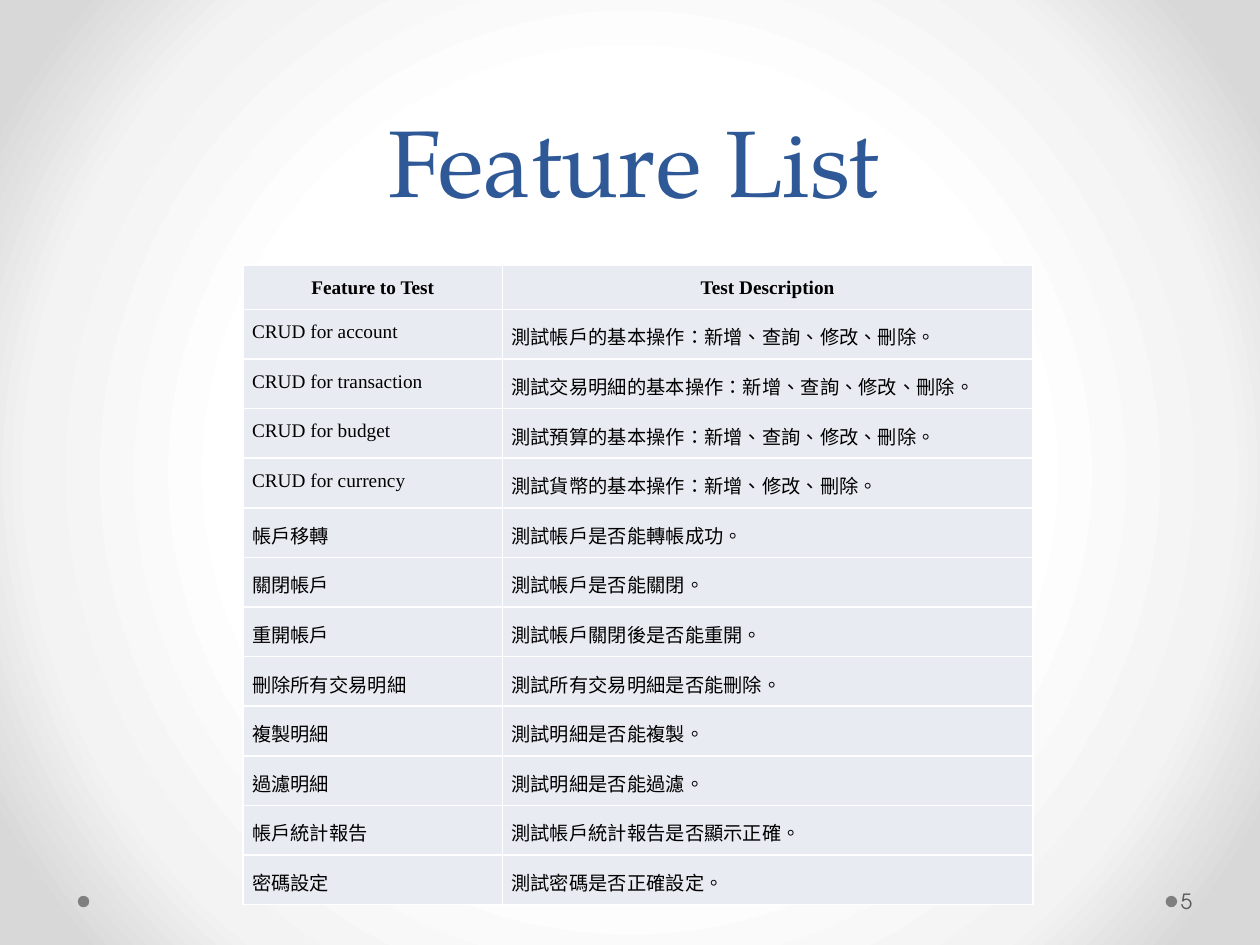
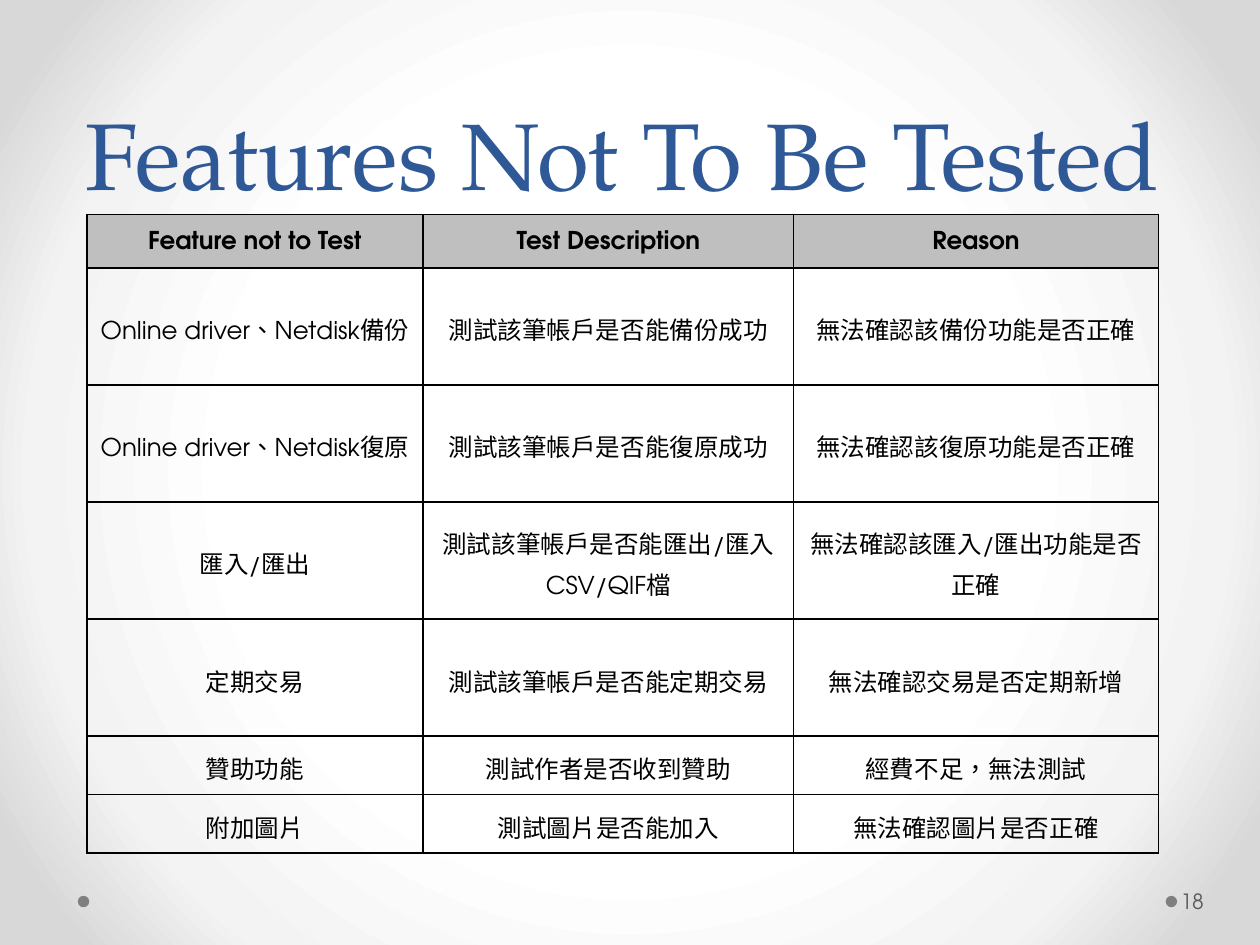
from lxml.etree import SubElement as Sub
from pptx import Presentation
from pptx.dml.color import RGBColor as RGB
from pptx.enum.shapes import MSO_SHAPE as Shape
from pptx.enum.text import MSO_ANCHOR as Anchor, MSO_AUTO_SIZE as Auto, PP_ALIGN as Align
from pptx.oxml.ns import qn
from pptx.util import Cm, Pt

# Shared colours, fonts and backdrop
BLUE = RGB(0x2F, 0x58, 0x97)
BLACK = RGB(0, 0, 0)
WHITE = RGB(0xFF, 0xFF, 0xFF)
DOT = RGB(0x7F, 0x7F, 0x7F)
SLATE = RGB(0x59, 0x59, 0x59)
SILVER = RGB(0xBF, 0xBF, 0xBF)
PALE = RGB(0xE9, 0xEB, 0xF2)
MIST = RGB(0xF3, 0xF3, 0xF3)
ASH = RGB(0xD8, 0xD8, 0xD8)
SERIF, SANS, ROMAN = "TeX Gyre Pagella", "TeX Gyre Adventor", "Times New Roman"
STOPS = [(0, WHITE), (50, WHITE), (76, MIST), (92, ASH), (100, ASH)]
PLAIN = "{2D5ABB26-0587-4C30-8999-92F81FD0307C}"  # table style without grid

TESTED = [
    ("Feature to Test", "Test Description"),
    ("CRUD for account", "測試帳戶的基本操作：新增、查詢、修改、刪除。"),
    ("CRUD for transaction", "測試交易明細的基本操作：新增、查詢、修改、刪除。"),
    ("CRUD for budget", "測試預算的基本操作：新增、查詢、修改、刪除。"),
    ("CRUD for currency", "測試貨幣的基本操作：新增、修改、刪除。"),
    ("帳戶移轉", "測試帳戶是否能轉帳成功。"),
    ("關閉帳戶", "測試帳戶是否能關閉。"),
    ("重開帳戶", "測試帳戶關閉後是否能重開。"),
    ("刪除所有交易明細", "測試所有交易明細是否能刪除。"),
    ("複製明細", "測試明細是否能複製。"),
    ("過濾明細", "測試明細是否能過濾。"),
    ("帳戶統計報告", "測試帳戶統計報告是否顯示正確。"),
    ("密碼設定", "測試密碼是否正確設定。"),
]
OMITTED = [
    ("Feature not to Test", "Test Description", "Reason"),
    ("Online driver、Netdisk備份", "測試該筆帳戶是否能備份成功", "無法確認該備份功能是否正確"),
    ("Online driver、Netdisk復原", "測試該筆帳戶是否能復原成功", "無法確認該復原功能是否正確"),
    ("匯入/匯出", "測試該筆帳戶是否能匯出/匯入CSV/QIF檔", "無法確認該匯入/匯出功能是否正確"),
    ("定期交易", "測試該筆帳戶是否能定期交易", "無法確認交易是否定期新增"),
    ("贊助功能", "測試作者是否收到贊助", "經費不足，無法測試"),
    ("附加圖片", "測試圖片是否能加入", "無法確認圖片是否正確"),
]


def apply(target, values):
    for name, value in values.items():
        setattr(target, name, value)


def write(frame, text, face, size, color, bold=False, align=Align.LEFT, pitch=1.0):
    par = frame.paragraphs[0]
    apply(par, dict(alignment=align, line_spacing=pitch))
    run = par.add_run()
    run.text = text
    run._r.get_or_add_rPr().set("lang", "zh-TW")
    apply(run.font, dict(name=face, size=Pt(size), bold=bold))
    run.font.color.rgb = color


def tint(parent, color):
    Sub(parent, qn("a:srgbClr"), val=str(color))


def set_back(master):
    """Give the master a radial gradient, white in the middle."""
    master.background.fill.gradient()
    grad = master._element.find(".//" + qn("a:gradFill"))
    for part in list(grad):
        grad.remove(part)
    stops = Sub(grad, qn("a:gsLst"))
    for place, color in STOPS:
        tint(Sub(stops, qn("a:gs"), pos=str(place * 1000)), color)
    ring = Sub(grad, qn("a:path"), path="circle")
    Sub(ring, qn("a:fillToRect"), {side: "50000" for side in "ltrb"})


def add_dot(slide, left):
    dot = slide.shapes.add_shape(Shape.OVAL, Cm(left), Cm(18.06), Cm(0.23), Cm(0.23))
    dot.shadow.inherit = False
    dot.fill.solid()
    dot.fill.fore_color.rgb = DOT
    dot.line.fill.background()


def add_page(slide, number):
    box = slide.shapes.add_textbox(Cm(23.72), Cm(17.65), Cm(1.55), Cm(1.02))
    apply(box.text_frame, dict(word_wrap=True, vertical_anchor=Anchor.MIDDLE,
                               margin_left=Cm(0.08), margin_right=Cm(0.13)))
    write(box.text_frame, str(number), SANS, 12, SLATE)


def add_slide(deck, title, area, number):
    slide = deck.slides.add_slide(deck.slide_layouts[5])
    for left in (23.5, 1.57):
        add_dot(slide, left)
    head = slide.shapes.title
    apply(head, dict(zip(("left", "top", "width", "height"), map(Cm, area))))
    apply(head.text_frame, dict(word_wrap=True, auto_size=Auto.NONE,
                                vertical_anchor=Anchor.BOTTOM))
    write(head.text_frame, title, SERIF, 54, BLUE, align=Align.CENTER, pitch=1.07)
    add_page(slide, number)
    return slide


def edge(cell, color):
    for side in ("L", "R", "T", "B"):
        line = Sub(cell._tc.get_or_add_tcPr(), qn("a:ln" + side), w=str(Pt(1)))
        tint(Sub(line, qn("a:solidFill")), color)


def paint(cell, color):
    if color is None:
        cell.fill.background()
    else:
        cell.fill.solid()
        cell.fill.fore_color.rgb = color


def add_grid(slide, data, spot, cols, rows, face, size, line, fills, pad, anchor, align):
    """Draw a table; fills holds the head colour and the body colour."""
    grid = slide.shapes.add_table(len(rows), len(cols), *map(Cm, spot),
                                  Cm(sum(cols)), Cm(sum(rows))).table
    apply(grid, dict(first_row=False, horz_banding=False))
    grid._tbl.tblPr.find(qn("a:tableStyleId")).text = PLAIN
    for col, width in zip(grid.columns, cols):
        col.width = Cm(width)
    for row, height in zip(grid.rows, rows):
        row.height = Cm(height)
    for r, texts in enumerate(data):
        top = r == 0
        for c, text in enumerate(texts):
            cell = grid.cell(r, c)
            apply(cell, dict(margin_left=Cm(0.18), margin_right=Cm(0.18),
                             margin_top=Cm(pad), margin_bottom=Cm(pad),
                             vertical_anchor=anchor))
            edge(cell, line)
            paint(cell, fills[0 if top else 1])
            write(cell.text_frame, text, face, size, BLACK, top,
                  Align.CENTER if top else align, 1.15)


def main():
    deck = Presentation()
    apply(deck, dict(slide_width=Cm(25.4), slide_height=Cm(19.05)))
    set_back(deck.slide_master)

    # Features to test
    slide = add_slide(deck, "Feature List", (1.35, 0.05, 22.86, 4.45), 5)
    add_grid(slide, TESTED, (4.9, 5.34), (5.23, 10.69), [0.84] + [1.0] * 12,
             ROMAN, 11, WHITE, (PALE, PALE), 0.18, Anchor.TOP, Align.LEFT)

    # Features left out
    slide = add_slide(deck, "Features Not To Be Tested", (0.03, 0.53, 25.02, 3.81), 18)
    add_grid(slide, OMITTED, (1.75, 4.32), (6.78, 7.47, 7.35),
             [1.08] + [2.36] * 4 + [1.18] * 2,
             SANS, 14, BLACK, (SILVER, None), 0, Anchor.MIDDLE, Align.CENTER)

    deck.save("out.pptx")


if __name__ == "__main__":
    main()
